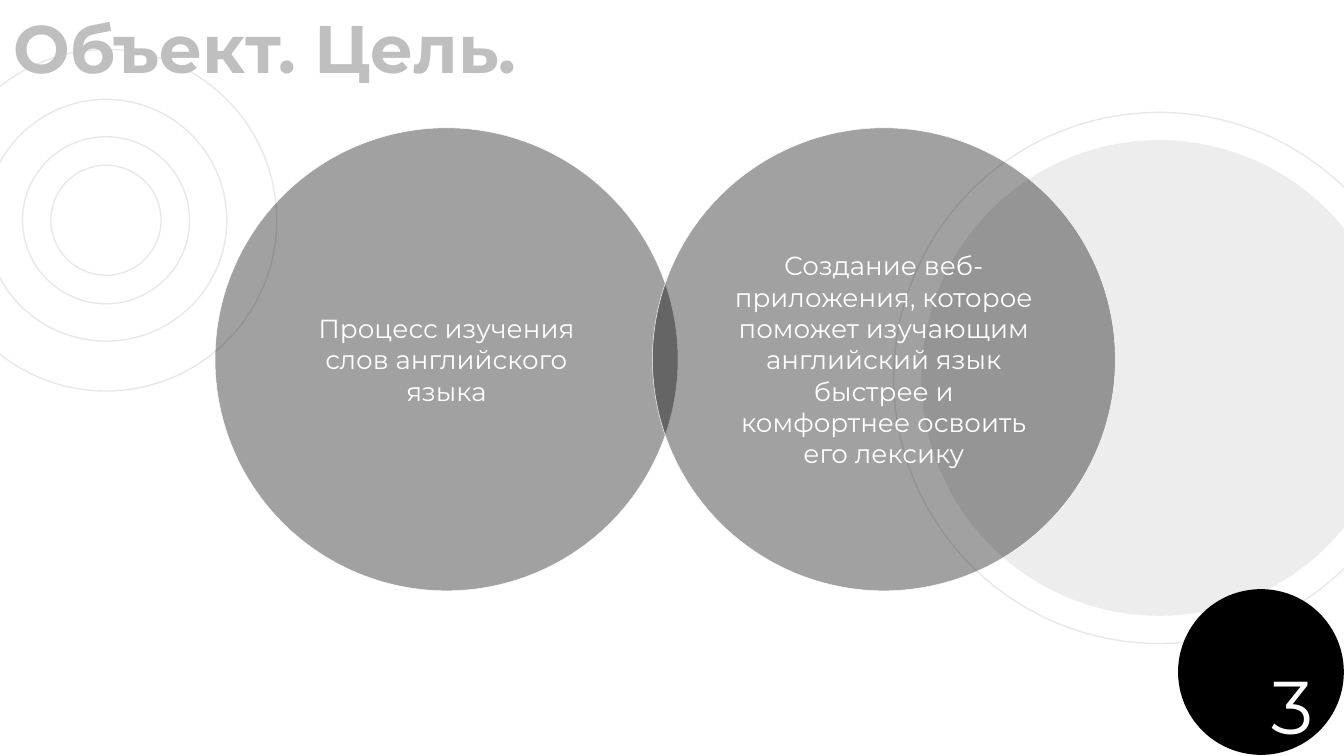
import pptx
import pptx.dml.color
import pptx.enum.shapes
import pptx.enum.text
import pptx.oxml
import pptx.oxml.ns
import pptx.util
from pptx.util import Pt

COLORS = {"ring": "E8E8E8", "title": "BFBFBF", "black": "000000", "white": "FFFFFF"}
FONT = "Montserrat"
ALIGN = pptx.enum.text.PP_ALIGN
ANCHOR = pptx.enum.text.MSO_ANCHOR


def add_circle(center_x, center_y, diameter, fill=None, opacity=100, line=None, width=0.75):
    circle = page.shapes.add_shape(
        pptx.enum.shapes.MSO_SHAPE.OVAL,
        Pt(center_x - diameter / 2), Pt(center_y - diameter / 2), Pt(diameter), Pt(diameter))
    circle.shadow.inherit = False
    if fill:
        circle.fill.solid()
        circle.fill.fore_color.rgb = pptx.dml.color.RGBColor.from_string(COLORS[fill])
        if opacity < 100:
            color = circle._element.spPr.find(".//" + pptx.oxml.ns.qn("a:srgbClr"))
            alpha = pptx.oxml.parse_xml(
                f'<a:alpha {pptx.oxml.ns.nsdecls("a")} val="{opacity * 1000}"/>')
            color.append(alpha)
    else:
        circle.fill.background()
    if line:
        circle.line.color.rgb = pptx.dml.color.RGBColor.from_string(COLORS[line])
        circle.line.width = Pt(width)
    else:
        circle.line.fill.background()
    return circle


def write(shape, text, size, color, align, anchor, bold=False):
    frame = shape.text_frame
    frame.text = text
    frame.word_wrap = True
    frame.auto_size = pptx.enum.text.MSO_AUTO_SIZE.NONE
    frame.vertical_anchor = anchor
    para = frame.paragraphs[0]
    para.alignment = align
    span = para.runs[0]
    span.font.name = FONT
    span.font.size = Pt(size)
    span.font.bold = bold
    span.font.color.rgb = pptx.dml.color.RGBColor.from_string(COLORS[color])


deck = pptx.Presentation()
deck.slide_width, deck.slide_height = Pt(720), Pt(405)
page = deck.slides.add_slide(deck.slide_layouts[5])

# Background rings and discs
add_circle(621, 202.5, 284.5, line="ring")
for diameter in (183, 129.5, 89.5, 59):
    add_circle(56.8, 118, diameter, line="ring")
add_circle(675.5, 360, 88.8, fill="black")
add_circle(621, 202.5, 254.8, fill="black", opacity=7)

# Title, brought in front of the rings
title = page.shapes.title
title.left, title.top, title.width, title.height = Pt(0), Pt(0), Pt(550), Pt(54)
frame = title.text_frame
frame.margin_left = frame.margin_right = frame.margin_top = frame.margin_bottom = Pt(7.2)
write(title, "Объект. Цель.", 36, "title", ALIGN.LEFT, ANCHOR.BOTTOM, bold=True)
page.shapes._spTree.append(title._element)

# Page number
number = page.shapes.add_textbox(Pt(673.9), Pt(360), Pt(34.6), Pt(34.6))
frame = number.text_frame
frame.margin_left = frame.margin_right = frame.margin_top = frame.margin_bottom = Pt(7.2)
write(number, "3", 40, "white", ALIGN.CENTER, ANCHOR.MIDDLE)

# Overlapping circles: object and goal
statements = (
    "Процесс изучения слов английского языка",
    "Создание веб-приложения, которое поможет изучающим английский язык "
    "быстрее и комфортнее освоить его лексику",
)
for index, statement in enumerate(statements):
    circle = add_circle(239.2 + 234.3 * index, 192.5, 248,
                        fill="black", opacity=37, line="white", width=0.25)
    write(circle, statement, 14, "white", ALIGN.CENTER, ANCHOR.MIDDLE)

deck.save("out.pptx")
